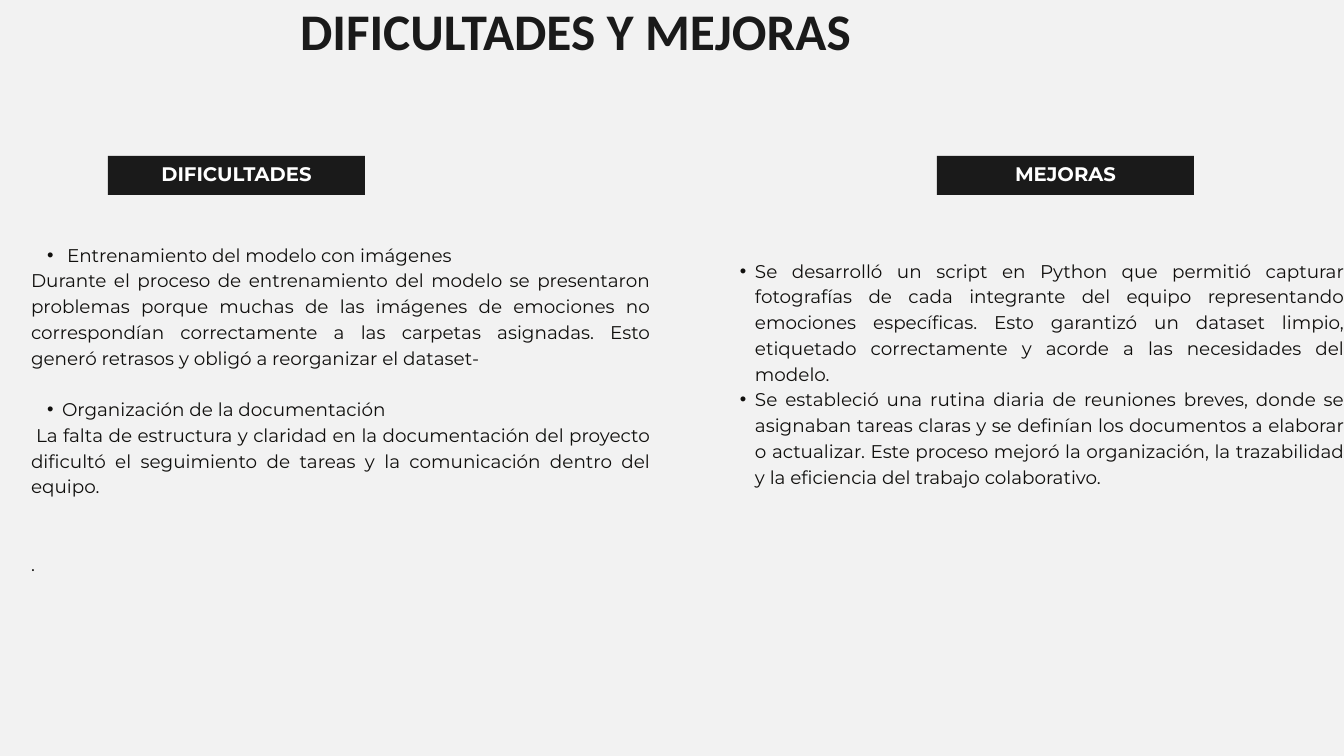
"""Build the slide on difficulties and improvements."""
from lxml import etree
from pptx import Presentation
from pptx.dml.color import RGBColor
from pptx.enum.shapes import MSO_SHAPE
from pptx.enum.text import MSO_ANCHOR, MSO_AUTO_SIZE, PP_ALIGN
from pptx.oxml.ns import qn
from pptx.util import Emu, Pt

RECTANGLE = MSO_SHAPE.RECTANGLE
TOP, MIDDLE = MSO_ANCHOR.TOP, MSO_ANCHOR.MIDDLE
FIXED = MSO_AUTO_SIZE.NONE
CENTER, RIGHT, JUSTIFY = PP_ALIGN.CENTER, PP_ALIGN.RIGHT, PP_ALIGN.JUSTIFY

BACKGROUND = RGBColor(0xF2, 0xF2, 0xF2)
DARK = RGBColor(0x1A, 0x1A, 0x1A)
INK = RGBColor(0x10, 0x0F, 0x0D)
WHITE = RGBColor(0xFF, 0xFF, 0xFF)

EMU_PER_PX = 914400 / 67.2
LINE = 27.6

TITLE = "DIFICULTADES Y MEJORAS"
TITLE_AREA = (75, -1, 776, 69)

# Each paragraph: text, bulleted, left margin px, first-line indent px, blank lines before
COLUMNS = [
    {
        "label": "DIFICULTADES",
        "label_area": (108, 156, 257, 39),
        "body_area": (31, 240, 619, 327),
        "paragraphs": [
            ("Entrenamiento del modelo con imágenes", True, 36, -20, 0),
            ("Durante el proceso de entrenamiento del modelo se presentaron problemas "
             "porque muchas de las imágenes de emociones no correspondían correctamente "
             "a las carpetas asignadas. Esto generó retrasos y obligó a reorganizar el "
             "dataset-", False, 0, 0, 0),
            ("Organización de la documentación", True, 31, -15, 1),
            ("La falta de estructura y claridad en la documentación del proyecto "
             "dificultó el seguimiento de tareas y la comunicación dentro del equipo.",
             False, 0, 5, 0),
            (".", False, 0, 0, 2),
        ],
    },
    {
        "label": "MEJORAS",
        "label_area": (937, 156, 257, 39),
        "body_area": (724, 256, 620, 226),
        "paragraphs": [
            ("Se desarrolló un script en Python que permitió capturar fotografías de "
             "cada integrante del equipo representando emociones específicas. Esto "
             "garantizó un dataset limpio, etiquetado correctamente y acorde a las "
             "necesidades del modelo.", True, 31, -15, 0),
            ("Se estableció una rutina diaria de reuniones breves, donde se asignaban "
             "tareas claras y se definían los documentos a elaborar o actualizar. Este "
             "proceso mejoró la organización, la trazabilidad y la eficiencia del "
             "trabajo colaborativo.", True, 31, -15, 0),
        ],
    },
]


def px(length):
    return Emu(round(length * EMU_PER_PX))


def place(shape, area):
    shape.left, shape.top, shape.width, shape.height = map(px, area)


def set_frame(frame, anchor, bottom=0):
    frame.word_wrap = True
    frame.auto_size = FIXED
    frame.vertical_anchor = anchor
    frame.margin_left = frame.margin_right = frame.margin_top = 0
    frame.margin_bottom = px(bottom)


def style(para, align, spacing, font, size, color, bold=False):
    para.alignment = align
    para.line_spacing = Pt(spacing)
    for span in para.runs:
        span.font.name = font
        span.font.size = Pt(size)
        span.font.bold = bold
        span.font.color.rgb = color


def set_bullet(para, bulleted, margin, indent):
    properties = para._p.get_or_add_pPr()
    properties.set("marL", str(px(margin)))
    properties.set("indent", str(px(indent)))
    if bulleted:
        etree.SubElement(properties, qn("a:buFont"), typeface="Arial")
        etree.SubElement(properties, qn("a:buChar"), char="•")
    else:
        etree.SubElement(properties, qn("a:buNone"))


def add_label(page, text, area):
    label = page.shapes.add_shape(RECTANGLE, *map(px, area))
    label.shadow.inherit = False
    label.fill.solid()
    label.fill.fore_color.rgb = DARK
    label.line.fill.background()
    set_frame(label.text_frame, MIDDLE, bottom=5)
    label.text_frame.text = text
    style(label.text_frame.paragraphs[0], CENTER, 27.3, "Montserrat", 21, WHITE, True)


def fill_body(body, area, paragraphs):
    place(body, area)
    frame = body.text_frame
    set_frame(frame, TOP)
    for index, (text, bulleted, margin, indent, blanks) in enumerate(paragraphs):
        para = frame.add_paragraph() if index else frame.paragraphs[0]
        para.text = text
        set_bullet(para, bulleted, margin, indent)
        para.level = int(bulleted)
        para.space_before = Pt(blanks * LINE)
        style(para, JUSTIFY, LINE, "Montserrat", 19.7, INK)


def main():
    deck = Presentation()
    deck.slide_width, deck.slide_height = px(1344), px(756)
    page = deck.slides.add_slide(deck.slide_layouts[3])
    page.background.fill.solid()
    page.background.fill.fore_color.rgb = BACKGROUND

    title, *bodies = page.placeholders
    place(title, TITLE_AREA)
    set_frame(title.text_frame, TOP)
    title.text_frame.text = TITLE
    style(title.text_frame.paragraphs[0], RIGHT, 66, "Calibri", 55, DARK, True)

    for body, column in zip(bodies, COLUMNS):
        add_label(page, column["label"], column["label_area"])
        fill_body(body, column["body_area"], column["paragraphs"])

    deck.save("out.pptx")


if __name__ == "__main__":
    main()
